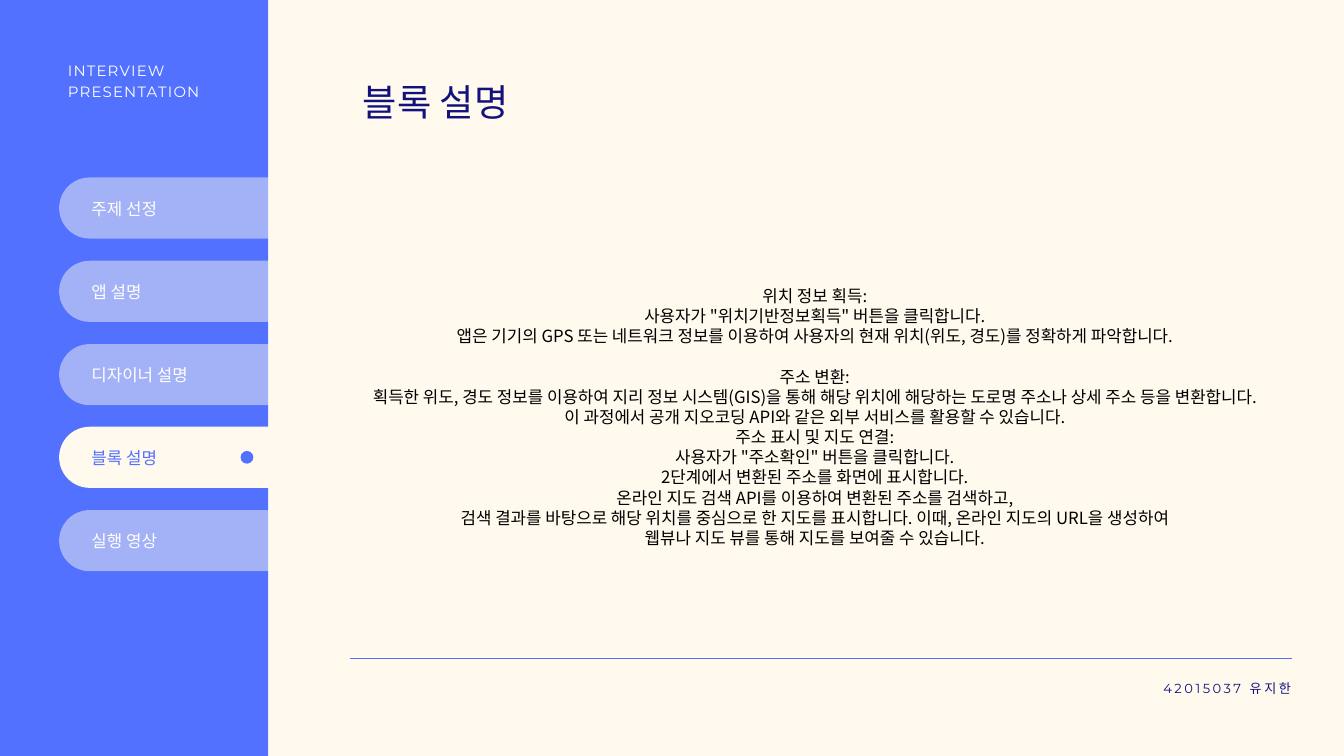
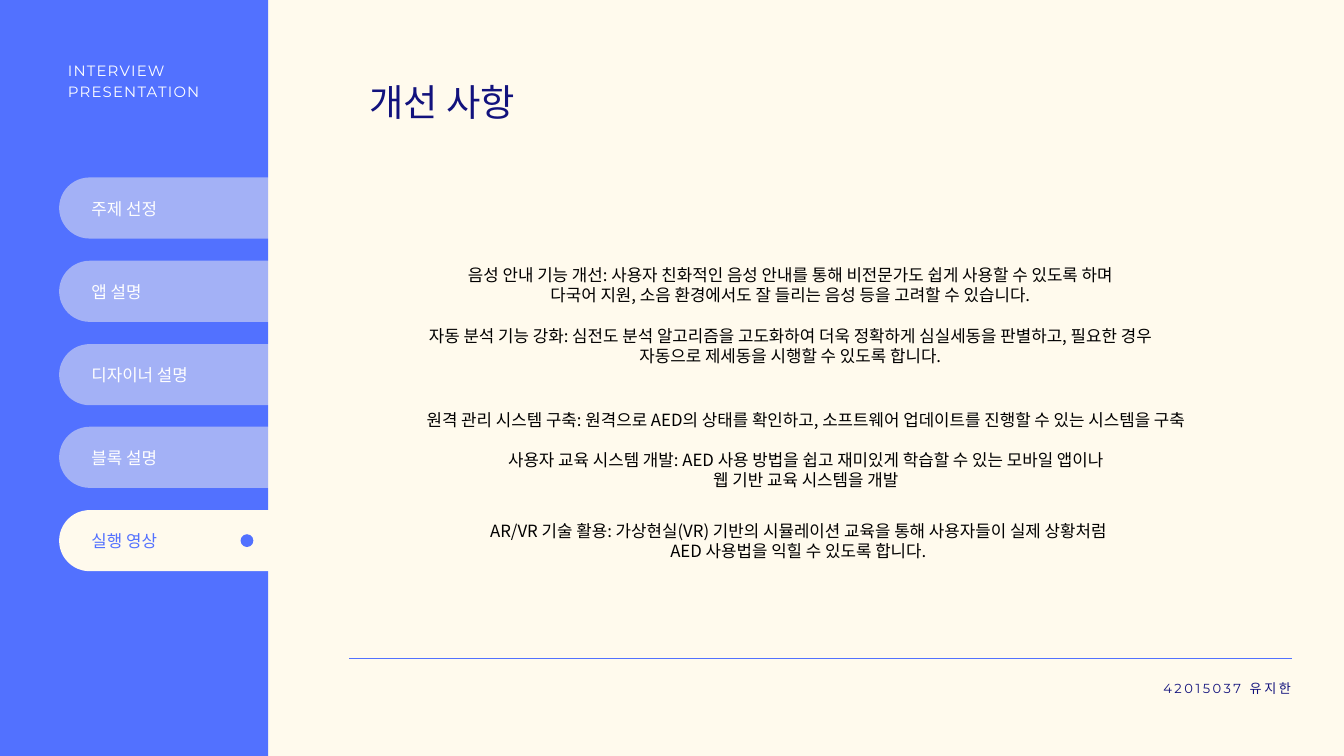
"""Builds two slides of an interview deck with a tabbed sidebar."""
from lxml import etree
from pptx import Presentation, util as u
from pptx.dml.color import RGBColor
from pptx.enum import shapes, text
from pptx.oxml.ns import qn

PX = u.Inches(1) // 100
WIDTH, HEIGHT = 2000, 1125

CREAM = RGBColor(0xFF, 0xFA, 0xED)
BLUE = RGBColor(0x52, 0x71, 0xFF)
ACTIVE_BLUE = RGBColor(0x53, 0x71, 0xFF)
NAVY = RGBColor(0x12, 0x12, 0x7D)
WHITE = RGBColor(0xFF, 0xFF, 0xFF)
BLACK = RGBColor(0x00, 0x00, 0x00)

KOREAN, LATIN = "Noto Sans CJK KR", "Montserrat"
LEFT, CENTER, RIGHT = text.PP_ALIGN.LEFT, text.PP_ALIGN.CENTER, text.PP_ALIGN.RIGHT

TITLE = dict(font=KOREAN, size=40, color=NAVY, line=48, align=LEFT)
BODY = dict(font=KOREAN, size=18, color=BLACK, line=21.6, align=CENTER)
TAB = dict(font=KOREAN, size=18, color=WHITE, line=21.6, align=LEFT)
ACTIVE_TAB = dict(TAB, color=ACTIVE_BLUE)
BRAND = dict(font=LATIN, size=16, color=WHITE, line=23, align=LEFT, tracking=1.3)
FOOTER = dict(font=LATIN, size=14, color=NAVY, line=16.8, align=RIGHT, tracking=2.7)

SIDEBAR = (0, 0, 399, HEIGHT)
TABS = ["주제 선정", "앱 설명", "디자이너 설명", "블록 설명", "실행 영상"]
TABS_BOX = (88, 264, 356, 586)
TAB_HEIGHT = 91

BLOCK_GROUPS = [
    ["위치 정보 획득:",
     "사용자가 \"위치기반정보획득\" 버튼을 클릭합니다.",
     "앱은 기기의 GPS 또는 네트워크 정보를 이용하여 사용자의 현재 위치(위도, 경도)를 정확하게 파악합니다."],
    ["주소 변환:",
     "획득한 위도, 경도 정보를 이용하여 지리 정보 시스템(GIS)을 통해 해당 위치에 해당하는 도로명 주소나 상세 주소 등을 변환합니다.",
     "이 과정에서 공개 지오코딩 API와 같은 외부 서비스를 활용할 수 있습니다.",
     "주소 표시 및 지도 연결:",
     "사용자가 \"주소확인\" 버튼을 클릭합니다.",
     "2단계에서 변환된 주소를 화면에 표시합니다.",
     "온라인 지도 검색 API를 이용하여 변환된 주소를 검색하고,",
     "검색 결과를 바탕으로 해당 위치를 중심으로 한 지도를 표시합니다. 이때, 온라인 지도의 URL을 생성하여",
     "웹뷰나 지도 뷰를 통해 지도를 보여줄 수 있습니다."],
]
GUIDANCE_GROUPS = [
    ["음성 안내 기능 개선: 사용자 친화적인 음성 안내를 통해 비전문가도 쉽게 사용할 수 있도록 하며",
     "다국어 지원, 소음 환경에서도 잘 들리는 음성 등을 고려할 수 있습니다."],
    ["자동 분석 기능 강화: 심전도 분석 알고리즘을 고도화하여 더욱 정확하게 심실세동을 판별하고, "
     "필요한 경우 자동으로 제세동을 시행할 수 있도록 합니다."],
]
REMOTE_GROUPS = [
    ["원격 관리 시스템 구축: 원격으로 AED의 상태를 확인하고, 소프트웨어 업데이트를 진행할 수 있는 시스템을 구축"],
    ["사용자 교육 시스템 개발: AED 사용 방법을 쉽고 재미있게 학습할 수 있는 모바일 앱이나",
     "웹 기반 교육 시스템을 개발"],
]
VR_GROUPS = [
    ["AR/VR 기술 활용: 가상현실(VR) 기반의 시뮬레이션 교육을 통해 사용자들이 실제 상황처럼",
     "AED 사용법을 익힐 수 있도록 합니다."],
]


def scaled(box):
    """Turn px lengths into EMU."""
    return [u.Emu(length * PX) for length in box]


def format_paragraph(paragraph, line, style, gap):
    """Write one line of text in the given style."""
    properties = paragraph._p.get_or_add_pPr()
    properties.set("marL", "0")
    properties.set("indent", "0")
    etree.SubElement(properties, qn("a:buNone"))
    values = dict(alignment=style["align"], line_spacing=u.Pt(style["line"]),
                  space_before=u.Pt(gap), space_after=u.Pt(0))
    for name, value in values.items():
        setattr(paragraph, name, value)
    run = paragraph.add_run()
    run.text = line
    for name, value in dict(name=style["font"], size=u.Pt(style["size"])).items():
        setattr(run.font, name, value)
    run.font.color.rgb = style["color"]
    run_properties = run._r.get_or_add_rPr()
    etree.SubElement(run_properties, qn("a:ea")).set("typeface", KOREAN)
    if "tracking" in style:
        run_properties.set("spc", str(round(style["tracking"] * 100)))


def fill_text(shape, box, groups, style):
    """Place a text shape and fill it with groups one line apart."""
    for name, value in zip(("left", "top", "width", "height"), scaled(box)):
        setattr(shape, name, value)
    frame = shape.text_frame
    values = dict(margin_left=0, margin_top=0, margin_right=0, margin_bottom=0, word_wrap=True,
                  auto_size=text.MSO_AUTO_SIZE.SHAPE_TO_FIT_TEXT,
                  vertical_anchor=text.MSO_ANCHOR.TOP)
    for name, value in values.items():
        setattr(frame, name, value)
    paragraph = frame.paragraphs[0]
    for group_index, group in enumerate(groups):
        for line_index, line in enumerate(group):
            if group_index or line_index:
                paragraph = frame.add_paragraph()
            gap = style["line"] if group_index and not line_index else 0
            format_paragraph(paragraph, line, style, gap)


def add_text(slide, box, groups, style):
    """Add a text box."""
    fill_text(slide.shapes.add_textbox(*scaled(box)), box, groups, style)


def add_block(slide, kind, box, color, opacity=100):
    """Add a plain filled shape without outline."""
    shape = slide.shapes.add_shape(kind, *scaled(box))
    shape.shadow.inherit = False
    shape.fill.solid()
    shape.fill.fore_color.rgb = color
    shape.line.fill.background()
    if opacity < 100:
        color_element = shape._element.spPr.find(qn("a:solidFill"))[0]
        etree.SubElement(color_element, qn("a:alpha")).set("val", str(opacity * 1000))
    return shape


def add_tab(slide, box, label, active):
    """Add one sidebar tab, with a dot when it is active."""
    left, top, width, height = box
    pill = add_block(slide, shapes.MSO_SHAPE.ROUNDED_RECTANGLE, box, CREAM, 100 if active else 47)
    pill.adjustments[0] = 0.5
    if active:
        add_block(slide, shapes.MSO_SHAPE.OVAL, (left + 270, top + 36, 19, 19), BLUE)
    add_text(slide, (left + 48, top + 31, 255, 30), [[label]], ACTIVE_TAB if active else TAB)


def add_sidebar(slide, box, active_label):
    """Add the blue band with its heading and evenly spaced tabs."""
    left, top, _, _ = box
    add_block(slide, shapes.MSO_SHAPE.RECTANGLE, box, BLUE)
    add_text(slide, (left + 101, top + 86, 213, 61), [["INTERVIEW PRESENTATION"]], BRAND)
    tab_left, tab_top, tab_width, total = TABS_BOX
    pitch = (total - TAB_HEIGHT) / (len(TABS) - 1)
    for index, label in enumerate(TABS):
        tab_box = (left + tab_left, top + tab_top + round(index * pitch), tab_width, TAB_HEIGHT)
        add_tab(slide, tab_box, label, label == active_label)


def add_footer(slide, box):
    """Add the rule and the author line under it."""
    left, top, width, _ = box
    rule = slide.shapes.add_connector(
        shapes.MSO_CONNECTOR.STRAIGHT, *scaled((left, top, left + width, top)))
    rule.line.color.rgb = BLUE
    rule.line.width = u.Pt(0.75)
    etree.SubElement(rule._element.spPr, qn("a:effectLst"))
    add_text(slide, (1584, top + 32, 337, 23), [["42015037 유지한"]], FOOTER)


def add_content_slide(presentation, title, title_left, rule_left, active_label, sections):
    """Add a slide with sidebar, title, centred sections and footer."""
    slide = presentation.slides.add_slide(presentation.slide_layouts[1])
    add_sidebar(slide, SIDEBAR, active_label)
    add_footer(slide, (rule_left, 980, 1402, 55))
    fill_text(slide.shapes.title, (title_left, 118, 899, 67), [[title]], TITLE)
    (body_box, body_groups), *others = sections
    fill_text(slide.placeholders[1], body_box, body_groups, BODY)
    for box, groups in others:
        add_text(slide, box, groups, BODY)


def main():
    """Build and save the presentation."""
    presentation = Presentation()
    presentation.slide_width, presentation.slide_height = scaled((WIDTH, HEIGHT))
    background = presentation.slide_master.background.fill
    background.solid()
    background.fore_color.rgb = CREAM
    add_content_slide(presentation, "블록 설명", 540, 521, "블록 설명",
                      [((445, 425, 1535, 380), BLOCK_GROUPS)])
    add_content_slide(presentation, "개선 사항", 550, 520, "실행 영상",
                      [((599, 394, 1154, 147), GUIDANCE_GROUPS),
                       ((519, 609, 1360, 153), REMOTE_GROUPS),
                       ((550, 775, 1276, 61), VR_GROUPS)])
    presentation.save("out.pptx")


if __name__ == "__main__":
    main()
